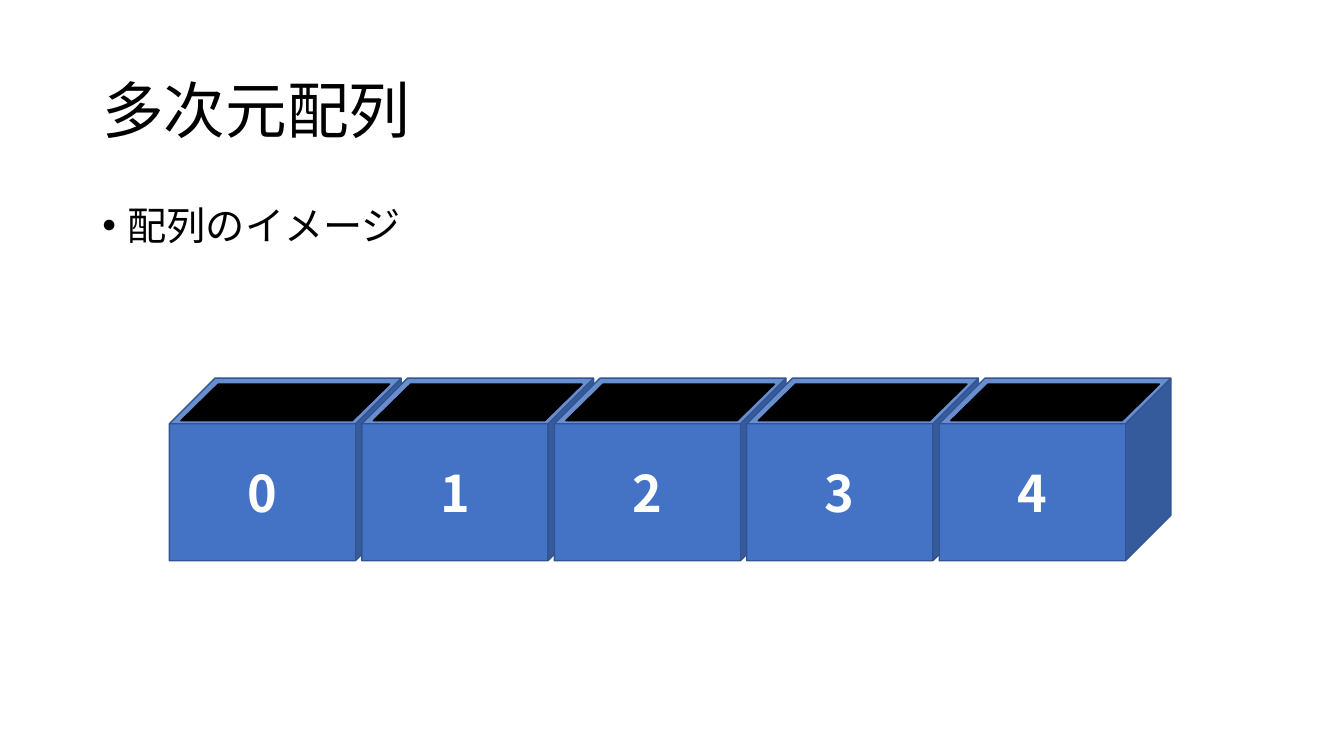
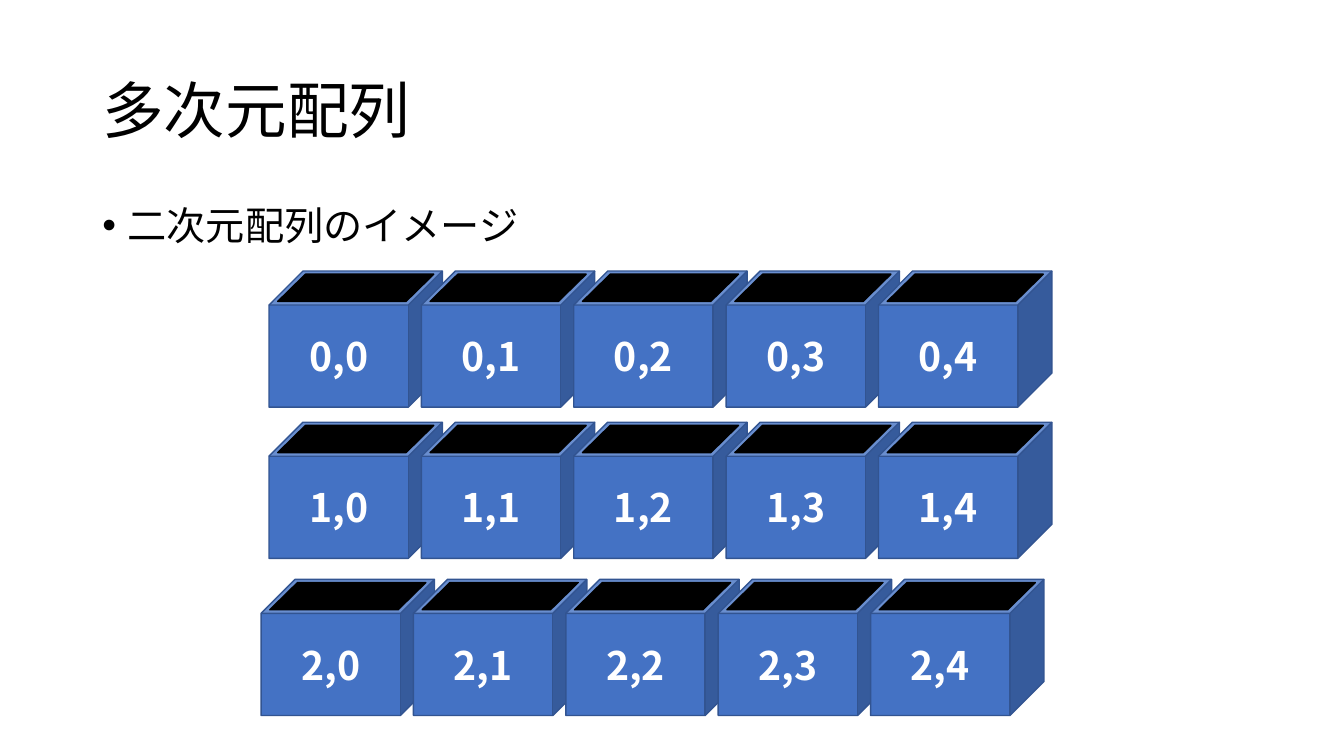
"""Builds two slides that picture one- and two-dimensional arrays as rows of open boxes."""
from lxml import etree
from pptx import Presentation
from pptx import util as u
from pptx.dml.color import RGBColor
from pptx.enum import shapes, text
from pptx.oxml.ns import qn

Cm, Pt = u.Cm, u.Pt


class Deck:
    COLORS = {"text": "000000", "box": "4472C4", "edge": "325491",
              "hole": "000000", "label": "FFFFFF"}
    FONT = "Noto Sans CJK JP"
    LEFT, WIDTH = 2.33, 29.21

    def __init__(self):
        self.prs = Presentation()
        self.prs.slide_width, self.prs.slide_height = Cm(33.87), Cm(19.05)
        self.s = None

    def color(self, name):
        return RGBColor.from_string(self.COLORS[name])

    def run(self, p, words, size, color, bold=False):
        r = p.add_run()
        r.text = words
        r.font.size, r.font.bold, r.font.name = Pt(size), bold, self.FONT
        r.font.color.rgb = self.color(color)
        ea = etree.SubElement(r.font._element, qn("a:ea"))
        ea.set("typeface", self.FONT)

    def text_box(self, y, h, anchor):
        sp = self.s.shapes.add_textbox(Cm(self.LEFT), Cm(y), Cm(self.WIDTH), Cm(h))
        tf = sp.text_frame
        tf.word_wrap, tf.vertical_anchor = True, anchor
        p = tf.paragraphs[0]
        p.line_spacing = 0.9
        return p

    def slide(self, title):
        self.s = self.prs.slides.add_slide(self.prs.slide_layouts[6])
        p = self.text_box(1.02, 3.68, text.MSO_ANCHOR.MIDDLE)
        self.run(p, title, 44, "text")

    def bullet(self, words):
        p = self.text_box(5.08, 12.09, text.MSO_ANCHOR.TOP)
        pPr = p._p.get_or_add_pPr()
        pPr.set("marL", str(Cm(0.64)))
        pPr.set("indent", str(-Cm(0.64)))
        etree.SubElement(pPr, qn("a:buFont")).set("typeface", "Arial")
        etree.SubElement(pPr, qn("a:buChar")).set("char", "•")
        self.run(p, words, 28, "text")

    def shape(self, kind, x, y, w, h, fill, line):
        sp = self.s.shapes.add_shape(kind, Cm(x), Cm(y), Cm(w), Cm(h))
        sp.shadow.inherit = False
        sp.fill.solid()
        sp.fill.fore_color.rgb = self.color(fill)
        sp.line.color.rgb = self.color(line)
        sp.line.width = Pt(1)
        return sp

    def box(self, x, y, w, h, drop, label, size):
        kind = shapes.MSO_SHAPE
        sp = self.shape(kind.CUBE, x, y, w, h, "box", "edge")
        tf = sp.text_frame
        tf.word_wrap, tf.vertical_anchor = True, text.MSO_ANCHOR.MIDDLE
        p = tf.paragraphs[0]
        p.alignment = text.PP_ALIGN.CENTER
        self.run(p, label, size, "label", bold=True)
        hole = self.shape(kind.PARALLELOGRAM, x + 0.05 * w, y + drop,
                          0.9 * w, 0.2 * h, "hole", "hole")
        hole.adjustments[0] = 1.02

    def box_row(self, x, y, pitch, labels, **style):
        for i, label in enumerate(labels):
            self.box(x + i * pitch, y, label=label, **style)


def main():
    deck = Deck()
    title = "多次元配列"
    columns = range(5)

    deck.slide(title)
    deck.bullet("配列のイメージ")
    deck.box_row(4.27, 9.53, 4.85, [str(c) for c in columns],
                 w=5.84, h=4.6, drop=0.15, size=36)

    deck.slide(title)
    deck.bullet("二次元配列のイメージ")
    for row, (x, y) in enumerate([(6.78, 6.83), (6.78, 10.64), (6.58, 14.6)]):
        deck.box_row(x, y, 3.84, [f"{row},{c}" for c in columns],
                     w=4.37, h=3.43, drop=0.08, size=28)

    deck.prs.save("out.pptx")


if __name__ == "__main__":
    main()
